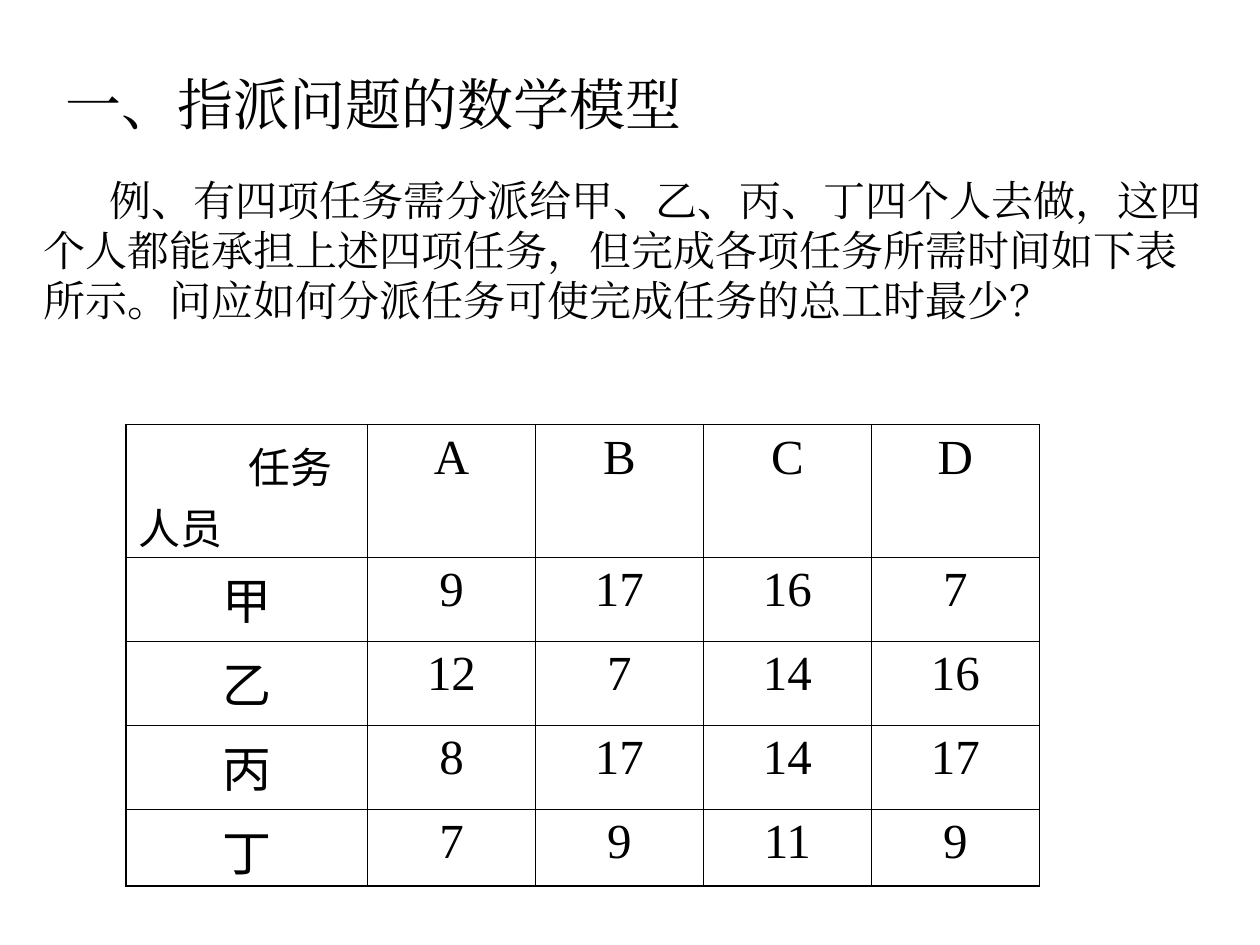
import pptx
import pptx.enum.text
import pptx.oxml
import pptx.oxml.ns
import pptx.util

Pt = pptx.util.Pt
PP_ALIGN = pptx.enum.text.PP_ALIGN
FONT = "Times New Roman"
BLACK = "000000"
OUTER, INNER = 1.08, 0.45

TITLE = "一、指派问题的数学模型"
PROBLEM = ("例、有四项任务需分派给甲、乙、丙、丁四个人去做，这四个人都能承担上述四项任务，"
           "但完成各项任务所需时间如下表所示。问应如何分派任务可使完成任务的总工时最少？")
HOURS = [
    ["任务人员", "A", "B", "C", "D"],
    ["甲", "9", "17", "16", "7"],
    ["乙", "12", "7", "14", "16"],
    ["丙", "8", "17", "14", "17"],
    ["丁", "7", "9", "11", "9"],
]


def rgb(color):
    return pptx.dml.color.RGBColor.from_string(color)


def write(tf, text, size, align=PP_ALIGN.LEFT, indent=0, ea=None):
    p = tf.paragraphs[0]
    p.alignment = align
    p.space_before = Pt(0)
    pPr = p._p.get_or_add_pPr()
    pPr.set("marL", "0")
    pPr.set("indent", str(Pt(indent)))
    r = p.add_run()
    r.text = text
    for name, value in {"size": Pt(size), "name": FONT}.items():
        setattr(r.font, name, value)
    r.font.color.rgb = rgb(BLACK)
    if ea:
        latin = r._r.get_or_add_rPr().find(pptx.oxml.ns.qn("a:latin"))
        latin.addnext(pptx.oxml.parse_xml(
            f'<a:ea {pptx.oxml.ns.nsdecls("a")} typeface="{ea}"/>'))


def place_text(s, sp, box, text, size, indent=0):
    for name, value in zip(("left", "top", "width", "height"), box):
        setattr(sp, name, Pt(value))
    tf = sp.text_frame
    frame = {"word_wrap": True,
             "auto_size": pptx.enum.text.MSO_AUTO_SIZE.NONE,
             "vertical_anchor": pptx.enum.text.MSO_ANCHOR.TOP}
    for name, value in frame.items():
        setattr(tf, name, value)
    write(tf, text, size, indent=indent, ea=FONT)


def add_title(s, box):
    place_text(s, s.shapes.title, box, TITLE, 32)


def add_problem(s, box):
    sp = s.shapes.add_textbox(0, 0, 0, 0)
    place_text(s, sp, box, PROBLEM, 24, indent=37.6)


def set_borders(cell, widths):
    tcPr = cell._tc.get_or_add_tcPr()
    for i, (side, width) in enumerate(widths.items()):
        tcPr.insert(i, pptx.oxml.parse_xml(
            f'<a:ln{side} {pptx.oxml.ns.nsdecls("a")} w="{Pt(width)}">'
            f'<a:solidFill><a:srgbClr val="{BLACK}"/></a:solidFill></a:ln{side}>'))


def add_hours_table(s, box):
    n_rows, n_cols = len(HOURS), len(HOURS[0])
    x, y, w, h = map(Pt, box)
    table = s.shapes.add_table(n_rows, n_cols, x, y, w, h).table
    for name in ("first_row", "horz_banding"):
        setattr(table, name, False)

    # Wide first column, tall header row, slightly shorter last row
    for j, col in enumerate(table.columns):
        col.width = Pt(138 if j == 0 else 96)
    for i, row in enumerate(table.rows):
        row.height = Pt({0: 75.6, n_rows - 1: 42}.get(i, 48))

    for i, values in enumerate(HOURS):
        for j, value in enumerate(values):
            cell = table.cell(i, j)
            cell.fill.background()
            cell.margin_top = Pt(3.6)
            cell.margin_bottom = Pt(0)
            if i == j == 0:
                # The indent pushes the first half right, the rest wraps below
                cell.margin_top = Pt(6)
                write(cell.text_frame, value, 24, indent=62.7)
            else:
                write(cell.text_frame, value, 28, PP_ALIGN.CENTER)
            set_borders(cell, {
                "L": OUTER if j == 0 else INNER,
                "R": OUTER if j == n_cols - 1 else INNER,
                "T": OUTER if i == 0 else INNER,
                "B": OUTER if i == n_rows - 1 else INNER,
            })


def main():
    prs = pptx.Presentation()
    prs.slide_width, prs.slide_height = Pt(720), Pt(540)
    s = prs.slides.add_slide(prs.slide_layouts[5])
    add_problem(s, (18, 96, 684, 93.6))
    add_hours_table(s, (72, 242.64, 522, 261.6))
    add_title(s, (30, 36, 618, 46))
    prs.save("out.pptx")


if __name__ == "__main__":
    main()
